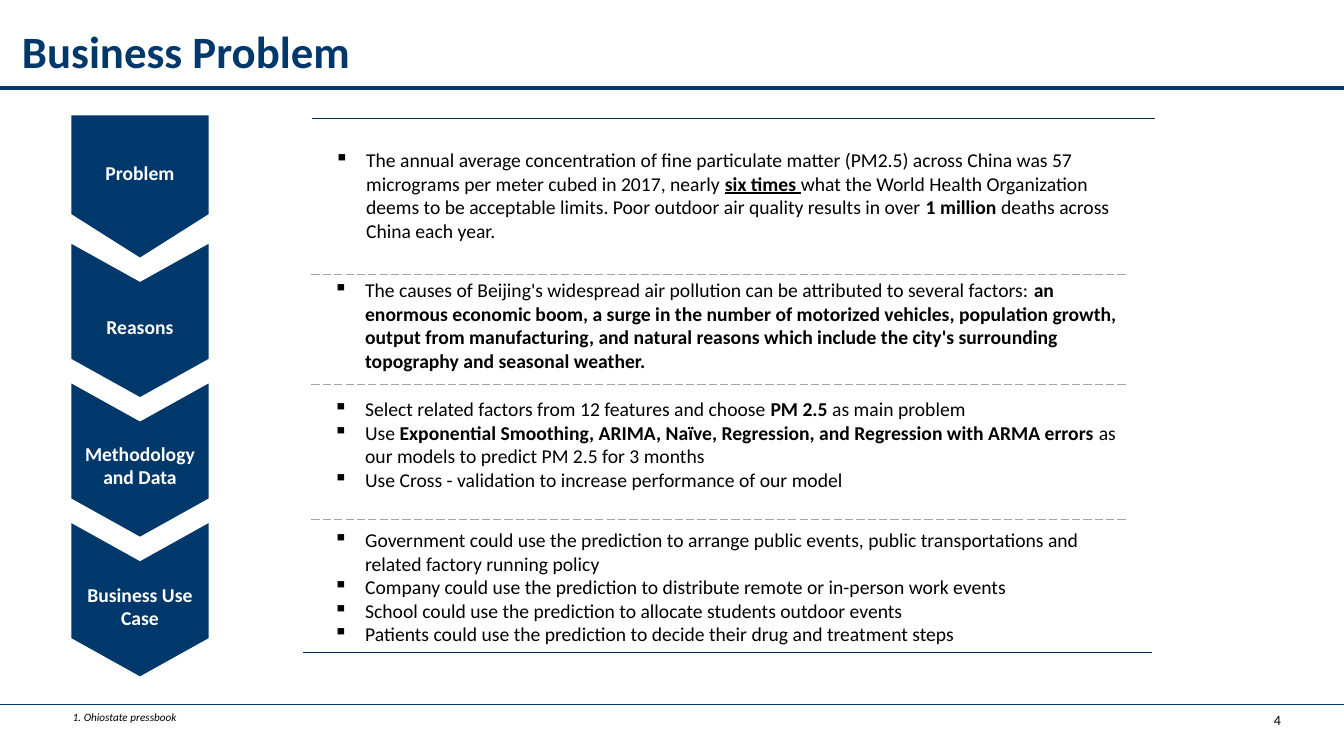
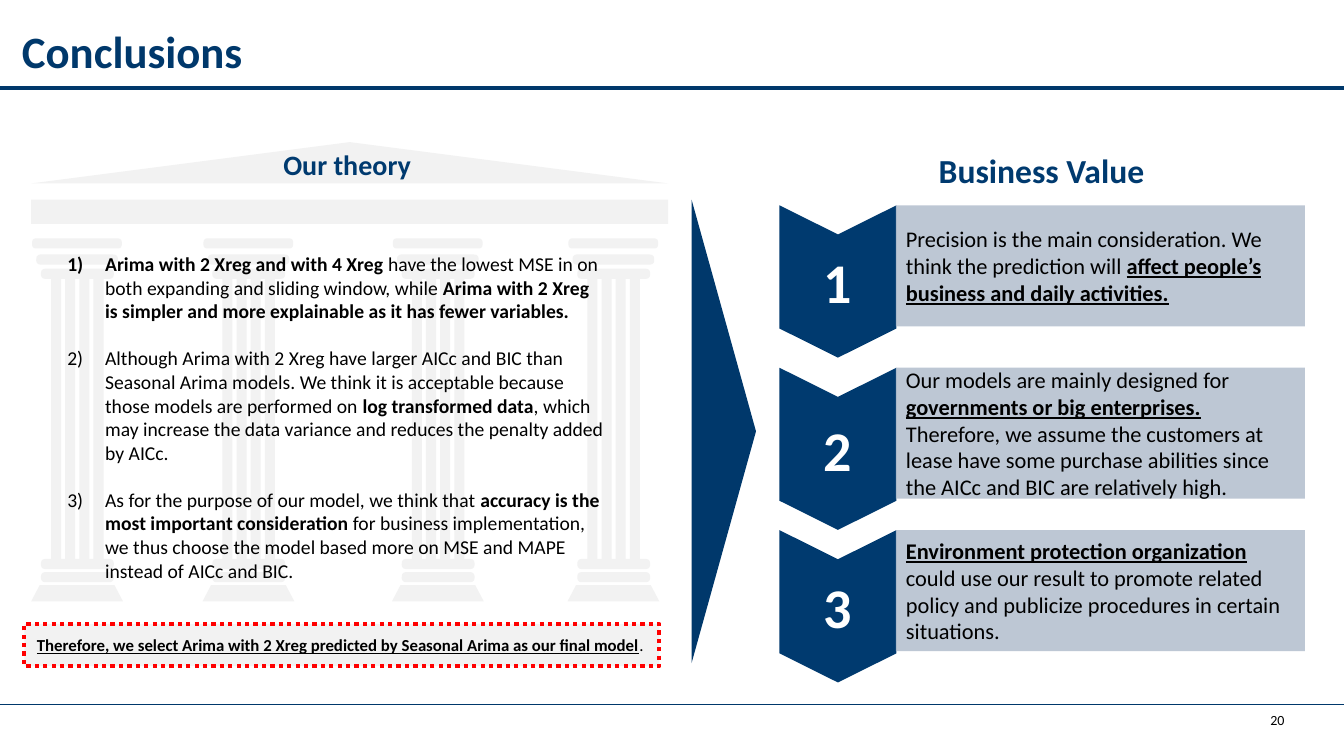
"""Build the business problem and conclusions slides of an air pollution forecast."""
from dataclasses import dataclass
from typing import NamedTuple, Optional

from lxml import etree
from pptx import Presentation
from pptx.dml.color import RGBColor
from pptx.enum.dml import MSO_LINE
from pptx.enum.shapes import MSO_CONNECTOR, MSO_SHAPE
from pptx.enum.text import MSO_ANCHOR, PP_ALIGN
from pptx.oxml.ns import qn
from pptx.shapes.autoshape import Shape
from pptx.shapes.shapetree import _BaseGroupShapes
from pptx.slide import Slide
from pptx.text.text import TextFrame
from pptx.util import Pt

STRAIGHT = MSO_CONNECTOR.STRAIGHT
LONG_DASH, ROUND_DOT = MSO_LINE.LONG_DASH, MSO_LINE.ROUND_DOT
RECTANGLE, ROUNDED = MSO_SHAPE.RECTANGLE, MSO_SHAPE.ROUNDED_RECTANGLE
TRIANGLE, TRAPEZOID = MSO_SHAPE.ISOSCELES_TRIANGLE, MSO_SHAPE.TRAPEZOID
PENTAGON, CHEVRON = MSO_SHAPE.PENTAGON, MSO_SHAPE.CHEVRON
TOP, MIDDLE, BOTTOM = MSO_ANCHOR.TOP, MSO_ANCHOR.MIDDLE, MSO_ANCHOR.BOTTOM
LEFT, CENTER = PP_ALIGN.LEFT, PP_ALIGN.CENTER

NAVY = RGBColor(0x00, 0x38, 0x6B)
HEADING_NAVY = RGBColor(0x00, 0x3A, 0x6F)
FRAME_NAVY = RGBColor(0x00, 0x2A, 0x50)
DASH_GRAY = RGBColor(0xA5, 0xA5, 0xA5)
TEMPLE_GRAY = RGBColor(0xF2, 0xF2, 0xF2)
VALUE_BLUE = RGBColor(0xAD, 0xB9, 0xCA)
RED = RGBColor(0xFF, 0x00, 0x00)
BLACK = RGBColor(0x00, 0x00, 0x00)
WHITE = RGBColor(0xFF, 0xFF, 0xFF)
FONT = "Calibri"
WIDTH, HEIGHT = 960, 540


class Box(NamedTuple):
    """Visible left, top, width and height in points."""
    left: float
    top: float
    width: float
    height: float


class Span(NamedTuple):
    """A stretch of text in one style."""
    text: str
    bold: bool = False
    underline: bool = False
    italic: bool = False


Paragraphs = list[list[Span]]


@dataclass(frozen=True)
class TextStyle:
    """How the paragraphs of one text look."""
    size: float
    color: RGBColor = BLACK
    align: PP_ALIGN = LEFT
    anchor: MSO_ANCHOR = TOP
    inset: Optional[float] = None
    indent: float = 0
    bullet: str = ""
    numbering: str = ""
    gap: float = 0


@dataclass(frozen=True)
class Stage:
    """One arrow on the left with the points it introduces."""
    label: str
    preset: MSO_SHAPE
    arrow_top: float
    arrow_height: float
    notch: float
    label_middle: float
    points_box: Box
    points: Paragraphs


@dataclass(frozen=True)
class Value:
    """One numbered business value."""
    height: float
    spans: list[Span]


class ColumnPart(NamedTuple):
    """A piece of a temple column, placed from the column's left edge."""
    preset: MSO_SHAPE
    box: Box
    adjustment: Optional[float] = None


TITLE = TextStyle(32, NAVY)
PAGE_NUMBER = TextStyle(10, align=CENTER, anchor=BOTTOM, inset=0)
FOOTNOTE = TextStyle(8, inset=0)
STAGE_LABEL = TextStyle(14, WHITE, CENTER, MIDDLE)
STAGE_POINTS = TextStyle(14, inset=0, indent=22.5, bullet="▪")
THEORY_HEADING = TextStyle(20, HEADING_NAVY, CENTER)
THEORY = TextStyle(14, indent=27, numbering="arabicParenR", gap=17)
DECISION = TextStyle(12, anchor=MIDDLE, inset=9)
VALUE_HEADING = TextStyle(24, HEADING_NAVY, CENTER)
VALUE_NUMBER = TextStyle(40, WHITE, CENTER, MIDDLE)
VALUE_TEXT = TextStyle(16, anchor=MIDDLE)

STAGES = [
    Stage("Problem", PENTAGON, 82.4, 101.5, 0.316, 123.1, Box(239, 105.7, 576.7, 72), [
        [Span("The annual average concentration of fine particulate matter (PM2.5) across China was 57 "
              "micrograms per meter cubed in 2017, nearly "),
         Span("six times ", True, True),
         Span("what the World Health Organization deems to be acceptable limits. "
              "Poor outdoor air quality results in over "),
         Span("1 million ", True), Span("deaths across China each year.")]]),
    Stage("Reasons", CHEVRON, 174.2, 109.4, 0.278, 233.3, Box(238.3, 198.7, 563, 71.3), [
        [Span("The causes of Beijing's widespread air pollution can be attributed to several factors: "),
         Span("an enormous economic boom, a surge in the number of motorized vehicles, population growth, "
              "output from manufacturing, and natural reasons which include the city's surrounding "
              "topography and seasonal weather.", True)]]),
    Stage("Methodology and Data", CHEVRON, 273.9, 109.4, 0.278, 332.3, Box(238.3, 283.7, 567.4, 68.4), [
        [Span("Select related factors from 12 features and choose "), Span("PM 2.5 ", True),
         Span("as main problem")],
        [Span("Use "),
         Span("Exponential Smoothing, ARIMA, Naïve, Regression, and Regression with ARMA errors", True),
         Span(" as our models to predict PM 2.5 for 3 months")],
        [Span("Use Cross - validation to increase performance of our model")]]),
    Stage("Business Use Case", CHEVRON, 373.7, 109.4, 0.278, 433, Box(238.3, 377.3, 558, 84.2), [
        [Span("Government could use the prediction to arrange public events, public transportations "
              "and related factory running policy")],
        [Span("Company could use the prediction to distribute remote or in-person work events")],
        [Span("School could use the prediction to allocate students outdoor events")],
        [Span("Patients could use the prediction to decide their drug and treatment steps")]]),
]

THEORY_POINTS = [
    [Span("Arima with 2 Xreg and with 4 Xreg ", True),
     Span("have the lowest MSE in on both expanding and sliding window, while "),
     Span("Arima with 2 Xreg is simpler and more explainable as it has fewer variables.", True)],
    [Span("Although Arima with 2 Xreg have larger AICc and BIC than Seasonal Arima models. "
          "We think it is acceptable because those models are performed on "),
     Span("log transformed data", True),
     Span(", which may increase the data variance and reduces the penalty added by AICc.")],
    [Span("As for the purpose of our model, we think that "),
     Span("accuracy is the most important consideration", True),
     Span(" for business implementation, we thus choose the model based more on MSE and MAPE "
          "instead of AICc and BIC.")],
]

VALUES = [
    Value(86.5, [Span("Precision is the main consideration. We think the prediction will "),
                 Span("affect people’s business and daily activities.", True, True)]),
    Value(93.5, [Span("Our models are mainly designed for "),
                 Span("governments or big enterprises. ", True, True),
                 Span("Therefore, we assume the customers at lease have some purchase abilities "
                      "since the AICc and BIC are relatively high.")]),
    Value(86.5, [Span("Environment protection organization ", True, True),
                 Span("could use our result to promote related policy and publicize procedures "
                      "in certain situations.")]),
]

COLUMN_LEFTS = (22.3, 144.7, 280, 405.4)
COLUMN = [
    ColumnPart(ROUNDED, Box(0.7, 170.3, 64, 7.2), 0.342),
    ColumnPart(ROUNDED, Box(3.6, 181.8, 58.3, 7.2), 0.392),
    *(ColumnPart(ROUNDED, Box(7, top, 52, 7.2), 0.392) for top in (192, 399.3, 408.7)),
    *(ColumnPart(RECTANGLE, Box(14.2 + 10.1 * flute, 199.2, 7.2, 201.6)) for flute in range(4)),
    ColumnPart(TRAPEZOID, Box(0, 418, 65.5, 11.5), 0.525),
]


def write(frame: TextFrame, paragraphs: Paragraphs, style: TextStyle) -> None:
    """Fill a text frame with styled paragraphs."""
    frame.word_wrap = True
    frame.vertical_anchor = style.anchor
    if style.inset is not None:
        frame.margin_left = Pt(style.inset)
        frame.margin_top = frame.margin_right = frame.margin_bottom = 0
    for index, spans in enumerate(paragraphs):
        paragraph = frame.add_paragraph() if index else frame.paragraphs[0]
        paragraph.alignment = style.align
        if index and style.gap:
            paragraph.space_before = Pt(style.gap)
        if style.indent:
            properties = paragraph._p.get_or_add_pPr()
            properties.set("marL", str(Pt(style.indent)))
            properties.set("indent", str(-Pt(style.indent)))
            if style.numbering:
                etree.SubElement(properties, qn("a:buAutoNum"), type=style.numbering)
            else:
                etree.SubElement(properties, qn("a:buChar"), char=style.bullet)
        for span in spans:
            run = paragraph.add_run()
            run.text = span.text
            font = run.font
            font.name, font.size, font.color.rgb = FONT, Pt(style.size), style.color
            font.bold, font.underline, font.italic = span.bold, span.underline, span.italic


def add_text(slide: Slide, box: Box, paragraphs: Paragraphs, style: TextStyle) -> None:
    """Add a text box."""
    write(slide.shapes.add_textbox(*map(Pt, box)).text_frame, paragraphs, style)


def add_block(shapes: _BaseGroupShapes, preset: MSO_SHAPE, box: Box, fill: RGBColor,
              adjustment: Optional[float] = None) -> Shape:
    """Add a flat filled shape without outline."""
    block = shapes.add_shape(preset, *map(Pt, box))
    block.shadow.inherit = False
    block.fill.solid()
    block.fill.fore_color.rgb = fill
    block.line.fill.background()
    if adjustment is not None:
        block.adjustments[0] = adjustment
    return block


def add_turned(slide: Slide, preset: MSO_SHAPE, box: Box, fill: RGBColor,
               adjustment: Optional[float] = None) -> Shape:
    """Add a shape turned clockwise by a quarter so that it fills the box."""
    shift = (box.width - box.height) / 2
    unturned = Box(box.left + shift, box.top - shift, box.height, box.width)
    block = add_block(slide.shapes, preset, unturned, fill, adjustment)
    block.rotation = 90
    return block


def add_rule(slide: Slide, left: float, right: float, y: float, color: RGBColor,
             width: float = 0.75, dash: Optional[MSO_LINE] = None) -> None:
    """Add a horizontal line."""
    rule = slide.shapes.add_connector(STRAIGHT, Pt(left), Pt(y), Pt(right), Pt(y))
    etree.SubElement(rule.element.spPr, qn("a:effectLst"))
    rule.line.color.rgb = color
    rule.line.width = Pt(width)
    if dash is not None:
        rule.line.dash_style = dash


def add_slide(deck: Presentation, heading: str, number: int) -> Slide:
    """Add a slide with the shared title, bands and page number."""
    slide = deck.slides.add_slide(deck.slide_layouts[5])
    add_rule(slide, 0, WIDTH, 62.6, NAVY, 3)
    add_rule(slide, 0, WIDTH, 503.3, NAVY)
    title = slide.shapes.title
    title.left, title.top, title.width, title.height = map(Pt, Box(8.5, 13, 900, 46))
    write(title.text_frame, [[Span(heading, True)]], TITLE)
    add_text(slide, Box(900, 508.3, 25, 12.2), [[Span(str(number))]], PAGE_NUMBER)
    return slide


def build_problem(deck: Presentation) -> None:
    """Build the business problem slide."""
    slide = add_slide(deck, "Business Problem", 4)
    add_rule(slide, 222.7, 825, 85, FRAME_NAVY)
    add_rule(slide, 216.2, 823, 466.2, FRAME_NAVY)
    for y in (195.8, 274.4, 370.8):
        add_rule(slide, 222.5, 806, y, DASH_GRAY, dash=LONG_DASH)
    for stage in STAGES:
        arrow = Box(51, stage.arrow_top, 98, stage.arrow_height)
        add_turned(slide, stage.preset, arrow, NAVY, stage.notch)
        label = Box(arrow.left, stage.label_middle - 20, arrow.width, 40)
        add_text(slide, label, [[Span(stage.label, True)]], STAGE_LABEL)
        add_text(slide, stage.points_box, stage.points, STAGE_POINTS)
    add_text(slide, Box(52, 507.2, 770, 9), [[Span("1. Ohiostate pressbook", italic=True)]], FOOTNOTE)


def draw_temple(slide: Slide) -> None:
    """Draw the roof, beam and columns behind the theory."""
    add_block(slide.shapes, TRIANGLE, Box(22.3, 101.5, 455, 29.5), TEMPLE_GRAY)
    add_block(slide.shapes, RECTANGLE, Box(22.3, 142.6, 455, 17.3), TEMPLE_GRAY)
    for left in COLUMN_LEFTS:
        column = slide.shapes.add_group_shape()
        for part in COLUMN:
            box = part.box._replace(left=left + part.box.left)
            add_block(column.shapes, part.preset, box, TEMPLE_GRAY, part.adjustment)


def build_conclusions(deck: Presentation) -> None:
    """Build the conclusions slide."""
    slide = add_slide(deck, "Conclusions", 20)
    draw_temple(slide)
    add_text(slide, Box(22, 101.5, 452, 31.7), [[Span("Our theory", True)]], THEORY_HEADING)
    add_text(slide, Box(41, 176.4, 397.5, 262), THEORY_POINTS, THEORY)
    decision = add_block(slide.shapes, RECTANGLE, Box(17.4, 445.7, 453.6, 30.2), TEMPLE_GRAY)
    decision.line.color.rgb = RED
    decision.line.width = Pt(3)
    decision.line.dash_style = ROUND_DOT
    write(decision.text_frame, [[
        Span("Therefore, we select Arima with 2 Xreg predicted by Seasonal Arima as our final model",
             True, True), Span(".")]], DECISION)
    add_turned(slide, TRIANGLE, Box(494, 142.6, 46, 331), NAVY)
    add_text(slide, Box(540, 103.7, 408, 36), [[Span("Business Value", True)]], VALUE_HEADING)
    for index, value in enumerate(VALUES):
        top = 146.7 + 116 * index
        arrow = add_turned(slide, CHEVRON, Box(556.8, top, 83.5, value.height + 22.3), HEADING_NAVY, 0.249)
        arrow.element.txBody.bodyPr.set("vert", "vert270")
        write(arrow.text_frame, [[Span(str(index + 1), True)]], VALUE_NUMBER)
        panel = add_block(slide.shapes, RECTANGLE, Box(640, top, 292, value.height), VALUE_BLUE)
        tint = panel.element.spPr.find(qn("a:solidFill")).find(qn("a:srgbClr"))
        etree.SubElement(tint, qn("a:alpha"), val="80000")
        write(panel.text_frame, [value.spans], VALUE_TEXT)


def main() -> None:
    """Build and save the deck."""
    deck = Presentation()
    deck.slide_width, deck.slide_height = Pt(WIDTH), Pt(HEIGHT)
    build_problem(deck)
    build_conclusions(deck)
    deck.save("out.pptx")


if __name__ == "__main__":
    main()
